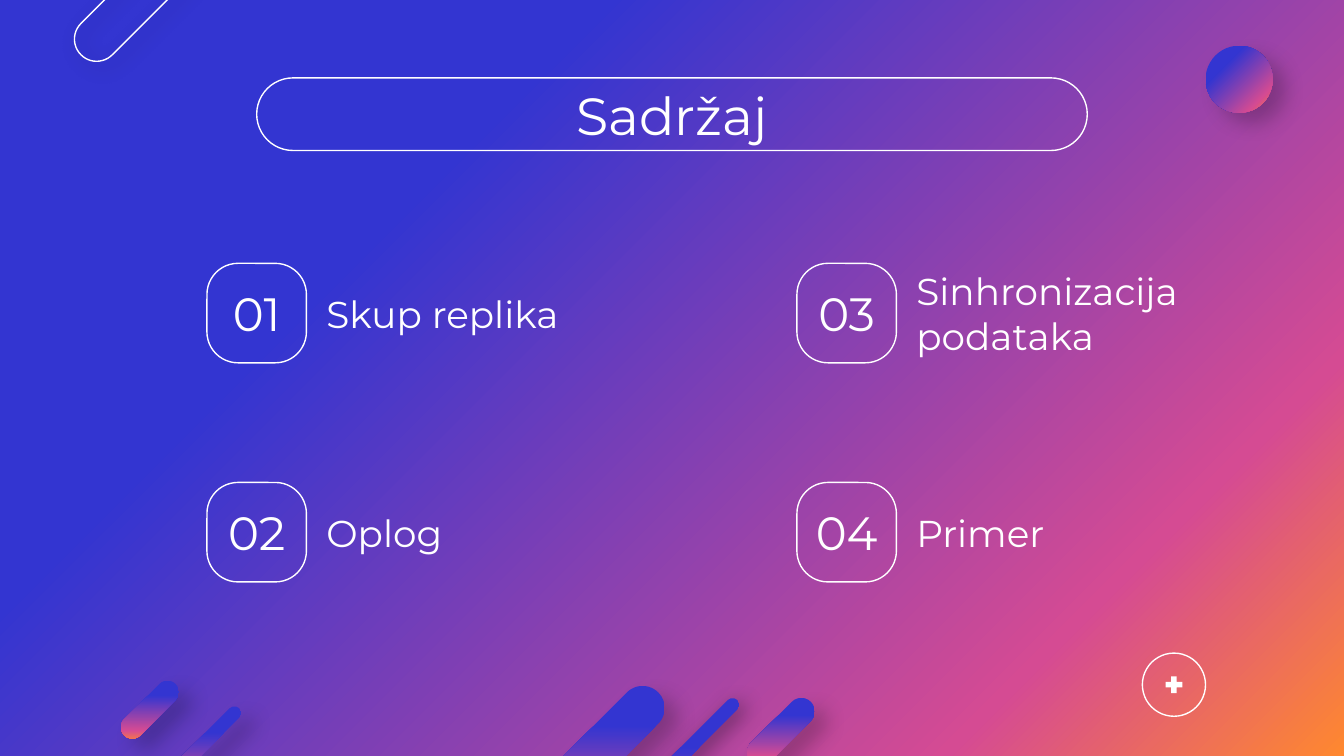
from lxml.etree import SubElement
from pptx import Presentation
from pptx.dml.color import RGBColor
from pptx.enum.shapes import MSO_SHAPE
from pptx.enum.text import MSO_ANCHOR, MSO_AUTO_SIZE, PP_ALIGN
from pptx.oxml.ns import qn
from pptx.util import Inches, Pt

WHITE = RGBColor(0xFF, 0xFF, 0xFF)
BLACK = RGBColor(0x00, 0x00, 0x00)
BLUE = RGBColor(0x33, 0x35, 0xD1)
PINK = RGBColor(0xD5, 0x4B, 0x93)
ORANGE = RGBColor(0xFF, 0x88, 0x2F)

FONT = "Montserrat"
GRADIENT = [(0, BLUE), (29, BLUE), (81, PINK), (100, ORANGE)]
SOFT_SHADOW = {"opacity": 22, "distance": 9}
TIGHT_SHADOW = {"opacity": 40, "distance": 3.8}

BADGE_SIZE = 0.74
NUMBER_SIZE = 0.64
LABEL_WIDTH = 3.28
LABEL_HEIGHT = 0.27
COLUMN_LEFTS = [1.54, 5.93]
ROW_TOPS = [1.96, 3.59]
TOPICS = [
    ["Skup replika", "Oplog"],
    ["Sinhronizacija podataka", "Primer"],
]

GRADIENT_PILLS = [
    (4.22, 4.94, 0.33, 1.45, SOFT_SHADOW),
    (4.81, 4.95, 0.1, 1.77, TIGHT_SHADOW),
    (1.03, 5.01, 0.17, 0.54, SOFT_SHADOW),
    (1.39, 5.13, 0.1, 0.96, SOFT_SHADOW),
    (5.71, 5.13, 0.2, 0.63, SOFT_SHADOW),
]


def add_color(parent, color, opacity=100):
    tint = SubElement(parent, qn("a:srgbClr"), val=str(color))
    if opacity < 100:
        SubElement(tint, qn("a:alpha"), val=str(opacity * 1000))


def paint_gradient(fill, owner):
    fill.gradient()
    fill.gradient_angle = 315
    stops = owner.find(".//" + qn("a:gsLst"))
    for stop in list(stops):
        stops.remove(stop)
    for position, color in GRADIENT:
        add_color(SubElement(stops, qn("a:gs"), pos=str(position * 1000)), color)


def cast_shadow(shape, opacity, distance):
    effects = shape.element.find(".//" + qn("a:effectLst"))
    shadow = SubElement(
        effects,
        qn("a:outerShdw"),
        blurRad=str(Pt(11.2)),
        dist=str(Pt(distance)),
        dir=str(40 * 60000),
        algn="bl",
        rotWithShape="0",
    )
    add_color(shadow, BLACK, opacity)


def add_figure(slide, kind, left, top, width, height, *, look="outline",
               roundness=None, rotation=0, shadow=None):
    figure = slide.shapes.add_shape(
        kind, Inches(left), Inches(top), Inches(width), Inches(height))
    figure.rotation = rotation
    figure.shadow.inherit = False
    if roundness is not None:
        figure.adjustments[0] = roundness
    if look == "gradient":
        paint_gradient(figure.fill, figure.element)
    elif look == "solid":
        figure.fill.solid()
        figure.fill.fore_color.rgb = WHITE
    else:
        figure.fill.background()
    if look == "outline":
        figure.line.color.rgb = WHITE
        figure.line.width = Pt(0.75)
    else:
        figure.line.fill.background()
    if shadow:
        cast_shadow(figure, **shadow)


def write_text(holder, text, *, size, align=PP_ALIGN.LEFT, side_inset=0.1):
    frame = holder.text_frame
    frame.auto_size = MSO_AUTO_SIZE.NONE
    frame.word_wrap = True
    frame.vertical_anchor = MSO_ANCHOR.MIDDLE
    frame.margin_left = frame.margin_right = Inches(side_inset)
    frame.margin_top = frame.margin_bottom = Inches(0.1)
    paragraph = frame.paragraphs[0]
    paragraph.alignment = align
    run = paragraph.add_run()
    run.text = text
    run.font.name = FONT
    run.font.size = Pt(size)
    run.font.color.rgb = WHITE


def add_label(slide, text, left, top, width, height, **style):
    label = slide.shapes.add_textbox(
        Inches(left), Inches(top), Inches(width), Inches(height))
    write_text(label, text, **style)


def add_decorations(slide):
    for left, top, width, height, shadow in GRADIENT_PILLS:
        add_figure(slide, MSO_SHAPE.ROUNDED_RECTANGLE, left, top, width, height,
                   look="gradient", roundness=0.5, rotation=45, shadow=shadow)
    add_figure(slide, MSO_SHAPE.ROUNDED_RECTANGLE, 0.95, -0.83, 0.33, 1.45,
               roundness=0.5, rotation=45, shadow=TIGHT_SHADOW)
    add_figure(slide, MSO_SHAPE.OVAL, 8.97, 0.34, 0.5, 0.5,
               look="gradient", shadow=SOFT_SHADOW)
    add_figure(slide, MSO_SHAPE.OVAL, 8.5, 4.86, 0.47, 0.47)
    add_figure(slide, MSO_SHAPE.MATH_PLUS, 8.65, 5.01, 0.17, 0.17,
               look="solid", roundness=0.235)


def add_heading(slide, text):
    add_figure(slide, MSO_SHAPE.ROUNDED_RECTANGLE, 1.91, 0.58, 6.18, 0.54,
               roundness=0.5)
    heading = slide.shapes.title
    heading.left, heading.top = Inches(0.78), Inches(0.6)
    heading.width, heading.height = Inches(8.44), Inches(0.5)
    write_text(heading, text, size=28, align=PP_ALIGN.CENTER)


def add_topic(slide, number, topic, left, top):
    add_figure(slide, MSO_SHAPE.ROUNDED_RECTANGLE, left, top,
               BADGE_SIZE, BADGE_SIZE, roundness=0.312)
    inset = (BADGE_SIZE - NUMBER_SIZE) / 2
    add_label(slide, f"{number:02d}", left + inset, top + inset,
              NUMBER_SIZE, NUMBER_SIZE,
              size=25, align=PP_ALIGN.CENTER, side_inset=0)
    add_label(slide, topic, left + BADGE_SIZE + 0.05,
              top + (BADGE_SIZE - LABEL_HEIGHT) / 2,
              LABEL_WIDTH, LABEL_HEIGHT, size=20)


def main():
    deck = Presentation()
    deck.slide_width = Inches(10)
    deck.slide_height = deck.slide_width * 9 // 16
    slide = deck.slides.add_slide(deck.slide_layouts[5])
    paint_gradient(slide.background.fill, slide.element)
    add_decorations(slide)
    add_heading(slide, "Sadržaj")
    number = 1
    for left, column in zip(COLUMN_LEFTS, TOPICS):
        for top, topic in zip(ROW_TOPS, column):
            add_topic(slide, number, topic, left, top)
            number += 1
    deck.save("out.pptx")


if __name__ == "__main__":
    main()
